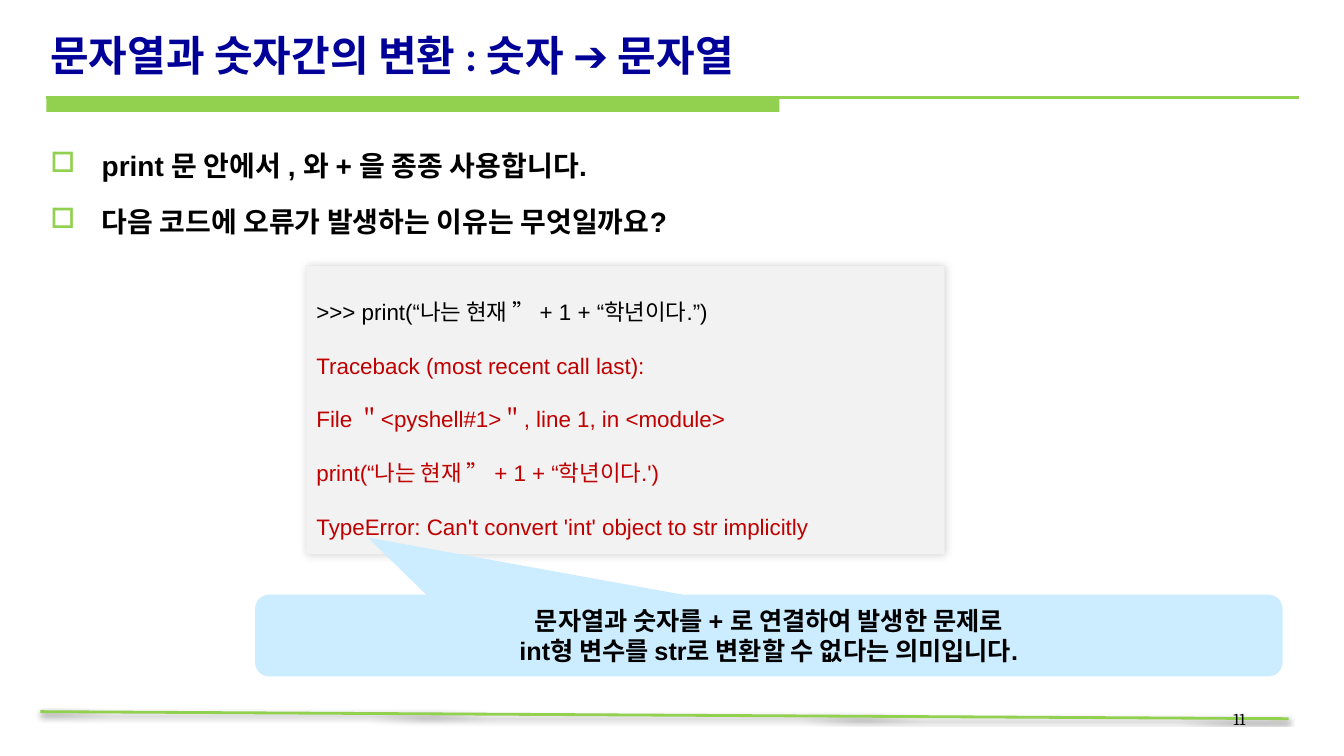
from dataclasses import dataclass

from lxml import etree
from pptx import Presentation
from pptx.dml.color import RGBColor
from pptx.enum import shapes, text
from pptx.oxml import ns
from pptx.util import Inches, Pt


@dataclass(frozen=True)
class Theme:
    """Colours, fonts and type sizes of the deck."""
    green: str = "92D050"
    navy: str = "000099"
    black: str = "000000"
    red: str = "C00000"
    panel: str = "F2F2F2"
    callout: str = "CCECFF"
    title_font: str = "Calibri"
    body_font: str = "Arial"
    number_font: str = "Cambria"
    title_size: int = 30
    body_size: int = 20
    callout_size: int = 18
    code_size: int = 16
    number_size: int = 12


THEME = Theme()
TITLE = "문자열과 숫자간의 변환 : 숫자 ➔ 문자열"
POINTS = [
    "print 문 안에서 , 와 + 을 종종 사용합니다.",
    "다음 코드에 오류가 발생하는 이유는 무엇일까요?",
]
COMMAND = ">>> print(“나는 현재 ” + 1 + “학년이다.”)"
ERRORS = [
    "Traceback (most recent call last):",
    "File ＂<pyshell#1>＂, line 1, in <module>",
    "print(“나는 현재 ” + 1 + “학년이다.')",
    "TypeError: Can't convert 'int' object to str implicitly",
]
EXPLANATION = [
    "문자열과 숫자를 + 로 연결하여 발생한 문제로",
    "int형 변수를 str로 변환할 수 없다는 의미입니다.",
]


def set_effects(shape, alpha=None, blur=0, distance=0, angle=0):
    """Replace the theme effects with one soft black shadow, or with none."""
    props = shape._element.spPr
    effects = etree.SubElement(props, ns.qn("a:effectLst"))
    if alpha is None:
        return
    shadow = etree.SubElement(
        effects, ns.qn("a:outerShdw"), blurRad=str(Pt(blur)),
        dist=str(Pt(distance)), dir=str(angle * 60000),
        algn="ctr", rotWithShape="0")
    colour = etree.SubElement(shadow, ns.qn("a:srgbClr"), val=THEME.black)
    etree.SubElement(colour, ns.qn("a:alpha"), val=str(alpha * 1000))


def add_block(page, kind, box, fill):
    """Add a filled preset shape without outline."""
    shape = page.shapes.add_shape(kind, *map(Inches, box))
    shape.fill.solid()
    shape.fill.fore_color.rgb = RGBColor.from_string(fill)
    shape.line.fill.background()
    return shape


def add_rule(page, start, end, width):
    """Add a straight green line."""
    rule = page.shapes.add_connector(
        shapes.MSO_CONNECTOR.STRAIGHT, *map(Inches, (*start, *end)))
    rule.line.color.rgb = RGBColor.from_string(THEME.green)
    rule.line.width = Pt(width)
    return rule


def add_bullet(para, indent):
    """Give a paragraph a hanging green square."""
    props = para._p.get_or_add_pPr()
    props.set("marL", str(Inches(indent)))
    props.set("indent", str(-Inches(indent)))
    colour = etree.SubElement(props, ns.qn("a:buClr"))
    etree.SubElement(colour, ns.qn("a:srgbClr"), val=THEME.green)
    etree.SubElement(props, ns.qn("a:buChar"), char="□")


def write(shape, lines, font, size, colour, bold=False, align=text.PP_ALIGN.LEFT,
          anchor=text.MSO_ANCHOR.TOP, spacing=None, indent=None):
    """Fill a shape with one paragraph per line and return the paragraphs."""
    frame = shape.text_frame
    frame.word_wrap = True
    frame.vertical_anchor = anchor
    frame.text = "\n".join(lines)
    for para in frame.paragraphs:
        para.alignment = align
        if spacing:
            para.line_spacing = spacing
        if indent:
            add_bullet(para, indent)
        para.font.name = font
        para.font.size = Pt(size)
        para.font.bold = bold
        para.font.color.rgb = RGBColor.from_string(colour)
    return frame.paragraphs


def add_header(page, box):
    """Place the title above a thick bar and a thin rule."""
    left, top, width, height = box
    bar_left, bar_top = left + 0.06, top + 0.88
    bar = add_block(page, shapes.MSO_SHAPE.RECTANGLE,
                    (bar_left, bar_top, 7.27, 0.14), THEME.green)
    bar.shadow.inherit = False
    rule = add_rule(page, (bar_left, bar_top), (left + width, bar_top), 2.25)
    set_effects(rule)
    title = page.shapes.add_textbox(*map(Inches, box))
    write(title, [TITLE], THEME.title_font, THEME.title_size, THEME.navy,
          bold=True, anchor=text.MSO_ANCHOR.BOTTOM)


def add_points(page, box):
    """Place the bulleted statements."""
    body = page.shapes.add_textbox(*map(Inches, box))
    paras = write(body, POINTS, THEME.body_font, THEME.body_size, THEME.black,
                  bold=True, spacing=1.5, indent=0.51)
    for para in paras[1:]:
        para.space_before = Pt(THEME.body_size * 0.2)


def add_code(page, box):
    """Place the command and its error message on a grey panel."""
    panel = add_block(page, shapes.MSO_SHAPE.RECTANGLE, box, THEME.panel)
    set_effects(panel, alpha=20, blur=6, angle=315)
    paras = write(panel, [COMMAND, *ERRORS], THEME.body_font, THEME.code_size,
                  THEME.red, spacing=2.0)
    paras[0].font.color.rgb = RGBColor.from_string(THEME.black)
    panel.text_frame.auto_size = text.MSO_AUTO_SIZE.SHAPE_TO_FIT_TEXT


def add_explanation(page, box):
    """Place the callout that points at the error."""
    callout = add_block(page, shapes.MSO_SHAPE.ROUNDED_RECTANGULAR_CALLOUT,
                        box, THEME.callout)
    callout.shadow.inherit = False
    for index, value in enumerate((-0.39, -1.2, 0.17)):
        callout.adjustments[index] = value
    write(callout, EXPLANATION, THEME.body_font, THEME.callout_size, THEME.black,
          bold=True, align=text.PP_ALIGN.CENTER, anchor=text.MSO_ANCHOR.MIDDLE)


def add_footer(page, box):
    """Place the slightly tilted bottom rule and the page number."""
    left, top, width, height = box
    rule = add_rule(page, (left, top + 0.08), (left + width, top + 0.15), 2)
    set_effects(rule, alpha=38, blur=3.1, distance=1.6, angle=90)
    number_width = 2.89
    number = page.shapes.add_textbox(*map(Inches, (
        left + width - 0.33 - number_width, top, number_width, height)))
    write(number, ["11"], THEME.number_font, THEME.number_size, THEME.black,
          align=text.PP_ALIGN.RIGHT)


def main():
    """Build the slide and save the deck."""
    deck = Presentation()
    deck.slide_width, deck.slide_height = Inches(13.33), Inches(7.5)
    page = deck.slides.add_slide(deck.slide_layouts[6])
    add_footer(page, (0.4, 6.98, 12.38, 0.52))
    add_header(page, (0.4, 0.09, 12.48, 0.75))
    add_points(page, (0.4, 1.26, 12.48, 5.61))
    add_code(page, (3.04, 2.64, 6.33, 2.86))
    add_explanation(page, (2.53, 5.9, 10.19, 0.81))
    deck.save("out.pptx")


if __name__ == "__main__":
    main()
